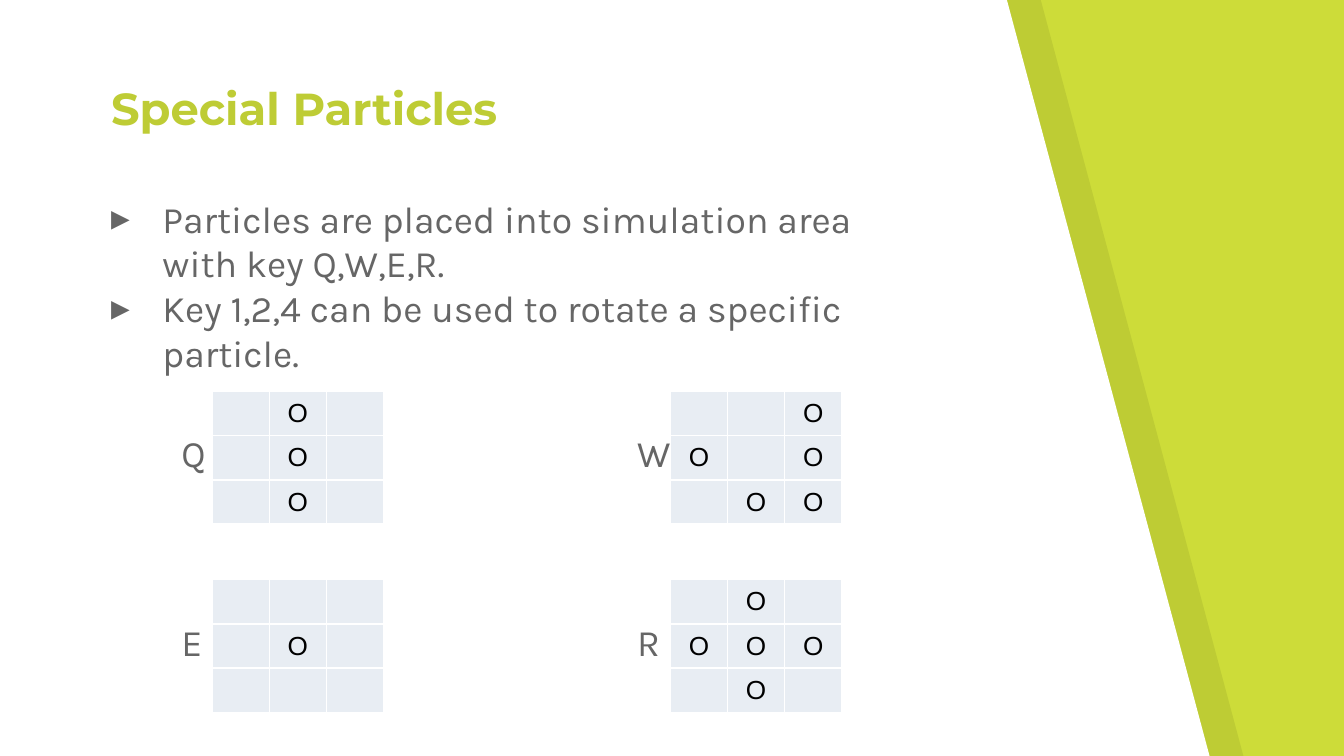
from lxml import etree
from pptx import Presentation
from pptx.dml.color import RGBColor
from pptx.enum import text
from pptx.oxml import parse_xml
from pptx.oxml.ns import nsdecls, qn
from pptx.util import Cm, Pt

# Content
TITLE = "Special Particles"
BULLETS = [
    "Particles are placed into simulation area with key Q,W,E,R.",
    "Key 1,2,4 can be used to rotate a specific particle.",
]
PARTICLES = [  # two per row; each string is one table row
    ("Q", [".O.", ".O.", ".O."]),
    ("W", ["..O", "O.O", ".OO"]),
    ("E", ["...", ".O.", "..."]),
    ("R", [".O.", "OOO", ".O."]),
]

THEME = {
    "lime": "CDDC39", "title": "BECC35", "body": "666666",
    "white": "FFFFFF", "black": "000000", "cell": "E8EDF3",
    "title_font": "Montserrat", "body_font": "Karla", "cell_font": "Arial",
    "title_size": 24, "body_size": 20, "cell_size": 14,
}

# Layout, in centimetres
WIDTH, HEIGHT = 25.4, 14.29
INSET = 0.25
BAND_TOP, BAND_BOTTOM, BAND_SHIFT = 19.03, 22.86, 0.64
TABLE_LEFTS, LABEL_LEFTS = (4.01, 12.67), (3.18, 11.79)
TABLE_TOP, TABLE_STEP = 7.39, 3.56
COL, ROW = 1.08, 0.84
LABEL_W, LABEL_H = 0.84, 1.52


def color(name):
    return RGBColor.from_string(THEME[name])


def add_run(p, words, font, size, fill, bold=False):
    r = p.add_run()
    r.text = words
    r.font.name = THEME[font]
    r.font.size = Pt(THEME[size])
    r.font.bold = bold
    r.font.color.rgb = color(fill)


def set_frame(tf, anchor, vertical_inset):
    tf.word_wrap = True
    tf.auto_size = text.MSO_AUTO_SIZE.NONE
    tf.vertical_anchor = anchor
    tf.margin_left = tf.margin_right = Cm(INSET)
    tf.margin_top = tf.margin_bottom = Cm(vertical_inset)


def place(sp, left, top, width, height):
    sp.left, sp.top, sp.width, sp.height = map(Cm, (left, top, width, height))


def add_panel(s, shift, fill, depth, alpha=None):
    """Add a slant-edged panel at the given depth behind the text."""
    points = [(0, HEIGHT), (BAND_BOTTOM, HEIGHT), (BAND_TOP, 0)]
    builder = s.shapes.build_freeform(Cm(shift), 0)
    builder.add_line_segments([(Cm(x + shift), Cm(y)) for x, y in points])
    sp = builder.convert_to_shape()
    sp.shadow.inherit = False
    sp.fill.solid()
    sp.fill.fore_color.rgb = color(fill)
    sp.line.fill.background()
    if alpha:
        rgb = sp.fill._xPr.find(".//" + qn("a:srgbClr"))
        etree.SubElement(rgb, qn("a:alpha")).set("val", str(alpha * 1000))
    s.shapes._spTree.insert(2 + depth, sp._element)


def add_bullet(p):
    pPr = p._p.get_or_add_pPr()
    pPr.set("marL", str(Cm(0.97)))
    pPr.set("indent", str(-Cm(0.97)))
    clr = etree.SubElement(pPr, qn("a:buClr"))
    etree.SubElement(clr, qn("a:srgbClr")).set("val", THEME["body"])
    etree.SubElement(pPr, qn("a:buFont")).set("typeface", THEME["body_font"])
    etree.SubElement(pPr, qn("a:buChar")).set("char", "▸")


def style_cell(cell):
    cell.margin_top = cell.margin_bottom = 0
    cell.vertical_anchor = text.MSO_ANCHOR.MIDDLE
    tcPr = cell._tc.get_or_add_tcPr()
    for side in ("lnL", "lnR", "lnT", "lnB"):
        tcPr.append(parse_xml(
            f'<a:{side} {nsdecls("a")} w="{Pt(1)}"><a:solidFill>'
            f'<a:srgbClr val="{THEME["white"]}"/></a:solidFill></a:{side}>'))
    cell.fill.solid()
    cell.fill.fore_color.rgb = color("cell")


def add_particle(s, index, key, pattern):
    row, col = divmod(index, len(TABLE_LEFTS))
    top = TABLE_TOP + row * TABLE_STEP
    n = len(pattern)

    # Grid
    table = s.shapes.add_table(n, n, Cm(TABLE_LEFTS[col]), Cm(top),
                               Cm(n * COL), Cm(n * ROW)).table
    table.first_row = table.horz_banding = False
    for i, marks in enumerate(pattern):
        table.rows[i].height = Cm(ROW)
        table.columns[i].width = Cm(COL)
        for j, mark in enumerate(marks):
            cell = table.cell(i, j)
            style_cell(cell)
            if mark == "O":
                p = cell.text_frame.paragraphs[0]
                p.alignment = text.PP_ALIGN.CENTER
                add_run(p, mark, "cell_font", "cell_size", "black")

    # Key label, level with the middle row
    label_top = top + (n * ROW - LABEL_H) / 2
    sp = s.shapes.add_textbox(Cm(LABEL_LEFTS[col]), Cm(label_top),
                              Cm(LABEL_W), Cm(LABEL_H))
    set_frame(sp.text_frame, text.MSO_ANCHOR.TOP, INSET)
    add_run(sp.text_frame.paragraphs[0], key, "body_font", "body_size", "body")


def main():
    prs = Presentation()
    prs.slide_width, prs.slide_height = Cm(WIDTH), Cm(HEIGHT)
    s = prs.slides.add_slide(prs.slide_layouts[1])

    # Background and slanted panels
    s.background.fill.solid()
    s.background.fill.fore_color.rgb = color("lime")
    add_panel(s, BAND_SHIFT, "black", 0, alpha=7)
    add_panel(s, 0, "white", 1)

    # Title
    title = s.shapes.title
    place(title, 1.85, 1.4, 18.44, 1.27)
    set_frame(title.text_frame, text.MSO_ANCHOR.MIDDLE, 0)
    p = title.text_frame.paragraphs[0]
    p.alignment = text.PP_ALIGN.LEFT
    add_run(p, TITLE, "title_font", "title_size", "title", bold=True)

    # Bullets
    body = s.placeholders[1]
    place(body, 1.85, 3.45, 15.29, 3.94)
    tf = body.text_frame
    set_frame(tf, text.MSO_ANCHOR.TOP, INSET)
    for i, words in enumerate(BULLETS):
        p = tf.add_paragraph() if i else tf.paragraphs[0]
        p.space_before = Pt(0)
        add_bullet(p)
        add_run(p, words, "body_font", "body_size", "body")

    # Particle grids
    for i, (key, pattern) in enumerate(PARTICLES):
        add_particle(s, i, key, pattern)

    prs.save("out.pptx")


if __name__ == "__main__":
    main()
